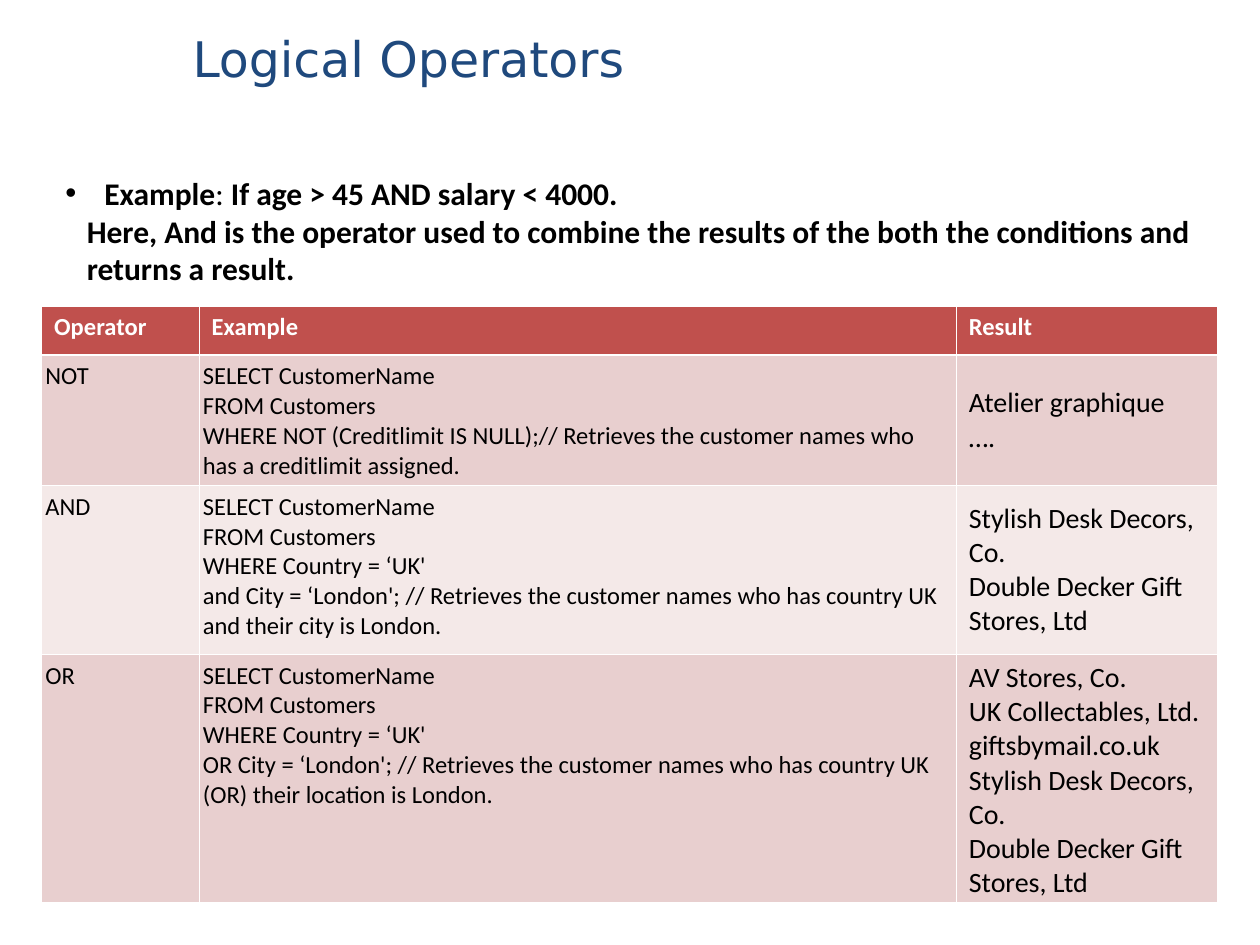
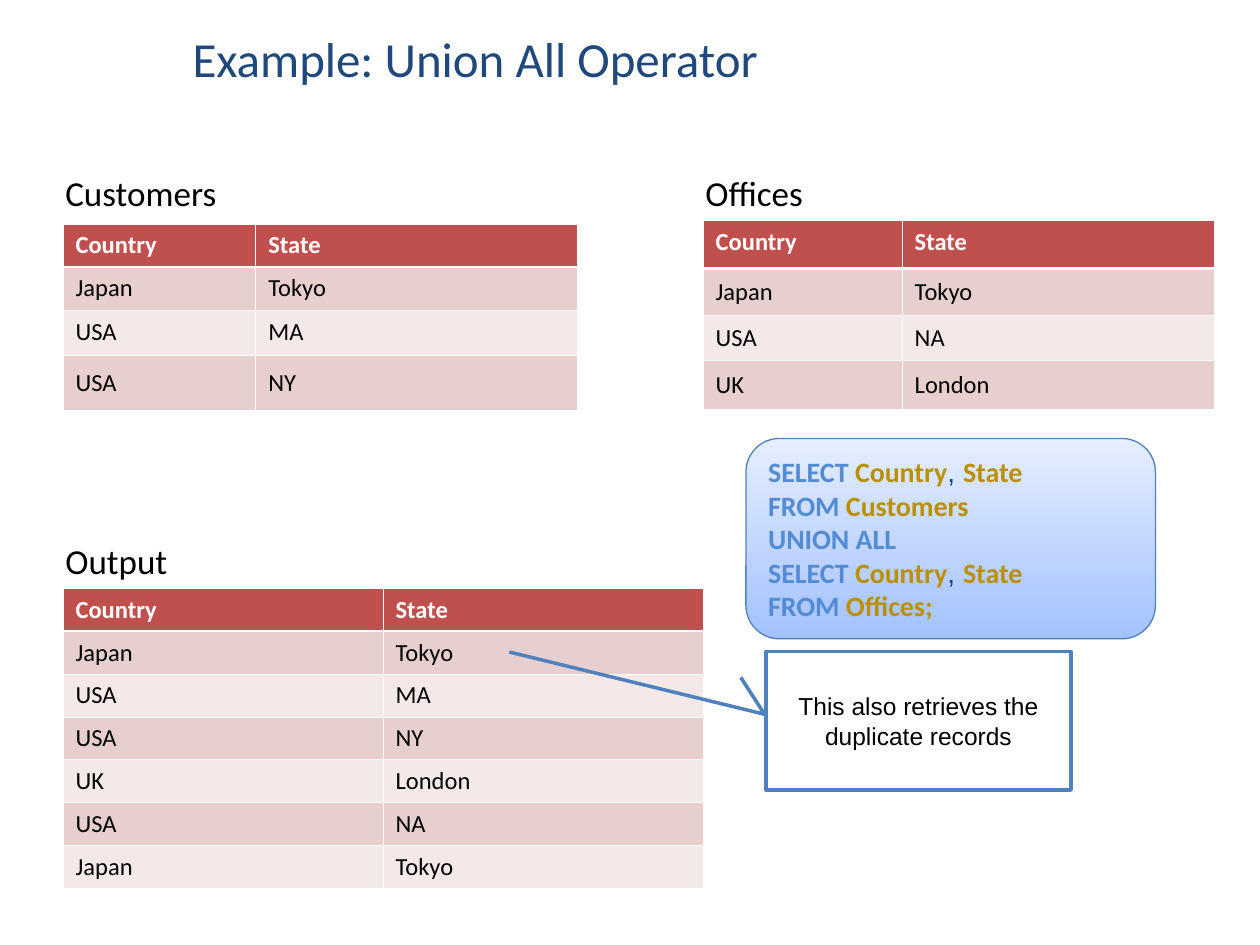
from lxml import etree
from pptx import Presentation
from pptx.dml.color import RGBColor
from pptx.enum.shapes import MSO_SHAPE as Kind
from pptx.enum.text import MSO_ANCHOR as Anchor, PP_ALIGN as Align
from pptx.oxml.ns import qn
from pptx.util import Inches, Pt

# Shared style
NAVY, BLUE, RED = "1F497D", "4F81BD", "C0504D"
BANDS = ("E8CFCF", "F4E9E8")
BLACK, WHITE = "000000", "FFFFFF"
KEY, NAME = "538CD5", "BC8F00"
FACE = "Calibri"


def rgb(code):
    return RGBColor.from_string(code)


def sub(node, tag, **attrs):
    return etree.SubElement(node, qn(tag), attrs)


def style(run, size, color=BLACK, bold=False, face=FACE):
    font = run.font
    font.size, font.bold, font.name = Pt(size), bold, face
    font.color.rgb = rgb(color)


def edge(cell, side, width):
    line = sub(cell._tc.get_or_add_tcPr(), f"a:ln{side}", w=str(Pt(width)))
    sub(sub(line, "a:solidFill"), "a:srgbClr", val=WHITE)


class Deck:
    def __init__(self):
        self.prs = Presentation()
        self.prs.slide_width, self.prs.slide_height = Inches(10), Inches(7.5)

    def page(self, title, face=FACE):
        self.slide = self.prs.slides.add_slide(self.prs.slide_layouts[6])
        frame = self.text((1.43, 0, 8.57, 0.92), title, 28, NAVY, face)
        frame.vertical_anchor = Anchor.MIDDLE

    def text(self, at, words, size, color=BLACK, face=FACE, bold=False):
        box = self.slide.shapes.add_textbox(*map(Inches, at))
        frame = box.text_frame
        frame.word_wrap = True
        self.fill(frame, words, size, color, face, bold)
        return frame

    def fill(self, frame, words, size, color=BLACK, face=FACE, bold=False):
        frame.text = words
        for par in frame.paragraphs:
            for run in par.runs:
                style(run, size, color, bold, face)

    def shape(self, kind, at, adjust, width):
        shape = self.slide.shapes.add_shape(kind, *map(Inches, at))
        shape.shadow.inherit = False
        for i, value in enumerate(adjust):
            shape.adjustments[i] = value
        shape.line.color.rgb, shape.line.width = rgb(BLUE), Pt(width)
        shape.text_frame.word_wrap = True
        return shape

    def callout(self, at, words, adjust):
        shape = self.shape(Kind.LINE_CALLOUT_2, at, adjust, 2)
        shape.fill.solid()
        shape.fill.fore_color.rgb = rgb(WHITE)
        frame = shape.text_frame
        self.fill(frame, words, 14, face="Arial")
        frame.vertical_anchor = Anchor.MIDDLE
        frame.paragraphs[0].alignment = Align.CENTER

    def code(self, at, lines):
        shape = self.shape(Kind.ROUNDED_RECTANGLE, at, [0.167], 0.75)
        shape.fill.gradient()
        shape.fill.gradient_angle = 90
        for stop, color in zip(shape.fill.gradient_stops, ("A3C2FF", "E5EEFF")):
            stop.color.rgb = rgb(color)
        frame = shape.text_frame
        frame.vertical_anchor = Anchor.TOP
        for i, (word, *names) in enumerate(lines):
            par = frame.add_paragraph() if i else frame.paragraphs[0]
            par.alignment = Align.LEFT
            par.text = word + " " if names else word
            style(par.runs[0], 16, KEY, True)
            for j, name in enumerate(names):
                if j:
                    run = par.add_run()
                    run.text = ", "
                    style(run, 16, NAVY, face="Arial")
                run = par.add_run()
                run.text = name
                style(run, 16, NAME, True)

    def table(self, at, cols, heights, rows, tight=0, big=None):
        """Draw a banded table; 'tight' columns hug the edge, 'big' is larger."""
        size = (sum(cols), sum(heights))
        grid = self.slide.shapes.add_table(
            len(rows), len(cols), *map(Inches, at + size)).table
        for col, width in zip(grid.columns, cols):
            col.width = Inches(width)
        for r, row in enumerate(rows):
            grid.rows[r].height = Inches(heights[r])
            for c, words in enumerate(row):
                self.cell(grid.cell(r, c), words, r, c < tight, c == big)

    def cell(self, cell, words, r, tight, big):
        head = r == 0
        for side in "LRTB":
            thick = (side == "B" and head) or (side == "T" and r == 1)
            edge(cell, side, 1.47 if thick else 0.45)
        cell.fill.solid()
        cell.fill.fore_color.rgb = rgb(RED if head else BANDS[(r - 1) % 2])
        cell.margin_left = cell.margin_right = Inches(
            0.03 if tight and not head else 0.1)
        cell.vertical_anchor = Anchor.TOP if head or tight else Anchor.MIDDLE
        self.fill(cell.text_frame, words, 16 if big and not head else 14,
                  WHITE if head else BLACK, bold=head)


def logic(deck):
    deck.page("Logical Operators", "DejaVu Sans")

    # Example text: one bullet, then two indented lines
    frame = deck.text(
        (0.42, 1.33, 9.25, 1),
        "Example\nHere, And is the operator used to combine the results of "
        "the both the conditions and\nreturns a result.", 18, bold=True)
    for i, par in enumerate(frame.paragraphs):
        props = par._p.get_or_add_pPr()
        props.set("marL", str(Inches(0.17 if i else 0.31)))
        props.set("indent", str(0 if i else Inches(-0.31)))
        if not i:
            sub(props, "a:buFont", typeface="Arial")
            sub(props, "a:buChar", char="•")
    for words, bold in ((": ", False), ("If age > 45 AND salary < 4000.", True)):
        run = frame.paragraphs[0].add_run()
        run.text = words
        style(run, 18, bold=bold)

    # Operator table
    query = "SELECT CustomerName\nFROM Customers\nWHERE "
    place = query + "Country = ‘UK'\n"
    shops = "Stylish Desk Decors, Co.\nDouble Decker Gift Stores, Ltd"
    rows = [
        ("Operator", "Example", "Result"),
        ("NOT", query + "NOT (Creditlimit IS NULL);// Retrieves the customer "
         "names who has a creditlimit assigned.", "Atelier graphique\n…."),
        ("AND", place + "and City = ‘London'; // Retrieves the customer names "
         "who has country UK and their city is London.", shops),
        ("OR", place + "OR City = ‘London'; // Retrieves the customer names "
         "who has country UK (OR) their location is London.",
         "AV Stores, Co.\nUK Collectables, Ltd.\ngiftsbymail.co.uk\n" + shops),
    ]
    deck.table((0.33, 2.43), (1.25, 6.01, 2.07), (0.39, 1, 1.34, 1.97),
               rows, tight=2, big=2)


def union(deck):
    deck.page("Example: Union All Operator")
    head = ("Country", "State")
    japan, usa, uk = ("Japan", "Tokyo"), ("USA", "NA"), ("UK", "London")
    home = [japan, ("USA", "MA"), ("USA", "NY")]

    # Output table and its note
    deck.table((0.5, 4.67), (2.54, 2.54), [0.34] * 7,
               [head, *home, uk, usa, japan])
    deck.callout((6.08, 5.17, 2.42, 1.1),
                 "This also retrieves the duplicate records",
                 (0.188, -0.083, 0.454, -0.005, 0.005, -0.842))

    # Source tables
    deck.table((0.5, 1.78), (1.53, 2.55), (0.34, 0.34, 0.36, 0.44),
               [head, *home])
    deck.table((5.58, 1.75), (1.58, 2.48), (0.38, 0.37, 0.36, 0.39),
               [head, japan, usa, uk])

    # Table names
    for name, left, top, width in (("Output", 0.42, 4.23, 1.75),
                                   ("Customers", 0.42, 1.31, 1.75),
                                   ("Offices", 5.5, 1.31, 3.42)):
        deck.text((left, top, width, 0.44), name, 20)

    # Query
    pick = ("SELECT", *head)
    deck.code((5.92, 3.48, 3.25, 1.59),
              [pick, ("FROM", "Customers"), ("UNION ALL",),
               pick, ("FROM", "Offices;")])


def main():
    deck = Deck()
    logic(deck)
    union(deck)
    deck.prs.save("out.pptx")


if __name__ == "__main__":
    main()
